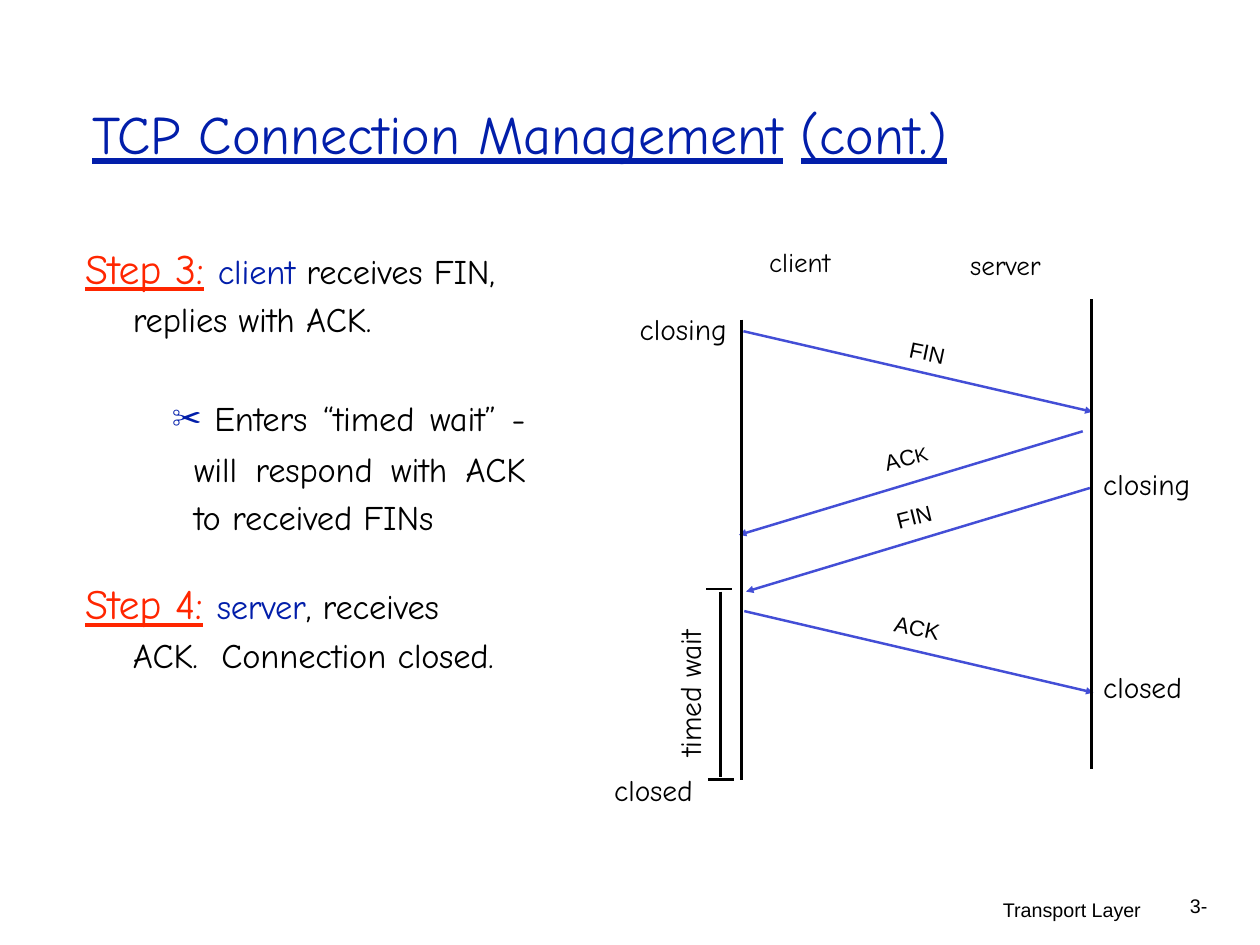
from dataclasses import dataclass

import pptx
import pptx.dml.color
import pptx.enum.shapes
import pptx.enum.text
import pptx.oxml.ns
import pptx.util
from lxml import etree

Inches = pptx.util.Inches
Pt = pptx.util.Pt
ALIGN = pptx.enum.text.PP_ALIGN
HEAVY = pptx.enum.text.MSO_UNDERLINE.HEAVY_LINE
COLORS = {"black": "000000", "blue": "021EAA", "red": "FF2600", "arrow": "434ED6"}
HAND, SANS = "Comic Neue", "Arial"


@dataclass
class Run:
    text: str
    size: float
    color: str = "black"
    font: str = HAND
    under: bool = False
    track: float = 0
    lift: int = 0


@dataclass
class Para:
    runs: list[Run]
    left: float = 0.01
    first: float = 0
    right: float = 0
    above: float = 0
    lines: float | pptx.util.Length | None = None
    tab: float = 0
    align: ALIGN = ALIGN.LEFT


@dataclass
class Box:
    at: tuple[float, float, float, float]
    paras: list[Para]
    top: float = 0.01
    turn: float = 0
    vert: str = "horz"


@dataclass
class Line:
    start: tuple[float, float]
    end: tuple[float, float]
    arrow: bool = False


def color(name: str) -> pptx.dml.color.RGBColor:
    return pptx.dml.color.RGBColor.from_string(COLORS[name])


def child(node: etree._Element, tag: str, **attrs: str) -> etree._Element:
    return etree.SubElement(node, pptx.oxml.ns.qn(tag), **attrs)


def add_run(para, item: Run) -> None:
    run = para.add_run()
    run.text = item.text
    run.font.size = Pt(item.size)
    run.font.name = item.font
    run.font.underline = HEAVY if item.under else False
    run.font.color.rgb = color(item.color)
    props = run.font._element
    if item.track:
        props.set("spc", str(round(item.track * 100)))
    if item.lift:
        props.set("baseline", str(item.lift * 1000))


def add_para(para, item: Para) -> None:
    props = para._p.get_or_add_pPr()
    props.set("marL", str(Inches(item.left)))
    props.set("marR", str(Inches(item.right)))
    props.set("indent", str(Inches(item.first)))
    if item.tab:
        tabs = child(props, "a:tabLst")
        child(tabs, "a:tab", pos=str(Inches(item.tab)), algn="l")
    para.alignment = item.align
    para.space_before = Pt(item.above)
    if item.lines:
        para.line_spacing = item.lines
    for run in item.runs:
        add_run(para, run)


def add_box(slide, box: Box) -> None:
    shape = slide.shapes.add_textbox(*map(Inches, box.at))
    shape.rotation = box.turn
    frame = shape.text_frame
    frame.word_wrap = True
    frame.auto_size = pptx.enum.text.MSO_AUTO_SIZE.SHAPE_TO_FIT_TEXT
    frame.margin_left = frame.margin_right = frame.margin_bottom = 0
    frame.margin_top = Inches(box.top)
    frame._txBody.bodyPr.set("vert", box.vert)
    for spot, item in enumerate(box.paras):
        add_para(frame.add_paragraph() if spot else frame.paragraphs[0], item)


def add_line(slide, line: Line) -> None:
    shape = slide.shapes.add_connector(
        pptx.enum.shapes.MSO_CONNECTOR.STRAIGHT, *map(Inches, line.start + line.end))
    shape.line.color.rgb = color("arrow" if line.arrow else "black")
    shape.line.width = Pt(2)
    if line.arrow:
        child(shape.line._get_or_add_ln(), "a:tailEnd", type="triangle")
    child(shape._element.spPr, "a:effectLst")


def label(text: str, left: float, top: float, width: float, size: float = 24) -> Box:
    return Box((left, top, width, 0.43), [Para([Run(text, size)])])


def plain(runs: list[Run], left: float, top: float, width: float,
          pitch: float = 18, turn: float = 0) -> Box:
    return Box((left, top, width, 0.25), [Para(runs, lines=Pt(pitch))], 0, turn)


def sans(text: str, size: float = 18) -> Run:
    return Run(text, size, font=SANS)


def step(mark: str, who: str, rest: str, **form) -> Para:
    return Para([Run("Step " + mark, 34, "red", under=True, track=-0.1),
                 Run(" ", 34), Run(who, 28, "blue", track=-0.1),
                 Run(rest, 28, track=-0.1)],
                left=0.56, first=-0.54, lines=1.15, **form)


TITLE = Box((1.03, 1.12, 10.16, 0.76), [Para(
    [Run("TCP Connection Management\t(cont.)", 44, "blue", under=True)],
    tab=8.3)])
STEPS = Box((0.94, 2.62, 5.43, 4.79), [
    step("3:", "client ", "receives FIN, replies with ACK."),
    Para([Run("✂ ", 42, "blue", SANS, lift=4),
          Run("Enters “timed wait” - will respond with ACK to received FINs",
              28, track=-0.1)],
         left=1.25, first=-0.25, right=0.44, above=24, lines=1.16,
         align=ALIGN.JUSTIFY),
    step("4:", "server", ", receives ACK.\tConnection closed.",
         right=0.67, above=27.2, tab=1.64),
], top=0.03)
LABELS = [
    label("client", 8.67, 2.76, 0.83, 22),
    label("server", 10.94, 2.79, 0.95, 22),
    label("closing", 7.21, 3.5, 1.07),
    label("closing", 12.44, 5.25, 1.07),
    label("closed", 6.92, 8.71, 1.01),
    label("closed", 12.44, 7.54, 1.01),
    Box((7.58, 6.89, 0.49, 1.66), [Para([Run("timed wait", 24, track=-0.1)])],
        top=0.05, vert="vert270"),
    plain([sans("FIN")], 10.25, 3.88, 0.47, turn=12),
    plain([sans("AC"), Run("K", 27, font=SANS, lift=2)], 9.98, 5.08, 0.58, turn=346),
    plain([sans("FIN")], 10.11, 5.72, 0.48, turn=346),
    plain([sans("ACK")], 10.08, 6.99, 0.57, turn=12),
    plain([sans("3-", 16)], 13.42, 10.1, 0.23, 18.7),
    plain([sans("Transport Layer", 16)], 11.31, 10.14, 1.6, 18.7),
]
LINES = [
    Line((8.39, 3.74), (12.33, 4.65), True),
    Line((12.22, 4.87), (8.34, 6.04), True),
    Line((12.3, 5.51), (8.42, 6.68), True),
    Line((8.4, 6.9), (12.34, 7.82), True),
    Line((8.37, 3.61), (8.37, 8.81)),
    Line((12.32, 3.38), (12.32, 8.68)),
    Line((8.13, 6.68), (8.13, 8.77)),
    Line((7.97, 6.65), (8.26, 6.65)),
    Line((7.99, 8.8), (8.28, 8.8)),
]


def main() -> None:
    deck = pptx.Presentation()
    deck.slide_width, deck.slide_height = Inches(14.22), Inches(10.67)
    slide = deck.slides.add_slide(deck.slide_layouts[6])
    for line in LINES:
        add_line(slide, line)
    for box in [TITLE, STEPS, *LABELS]:
        add_box(slide, box)
    deck.save("out.pptx")


if __name__ == "__main__":
    main()
